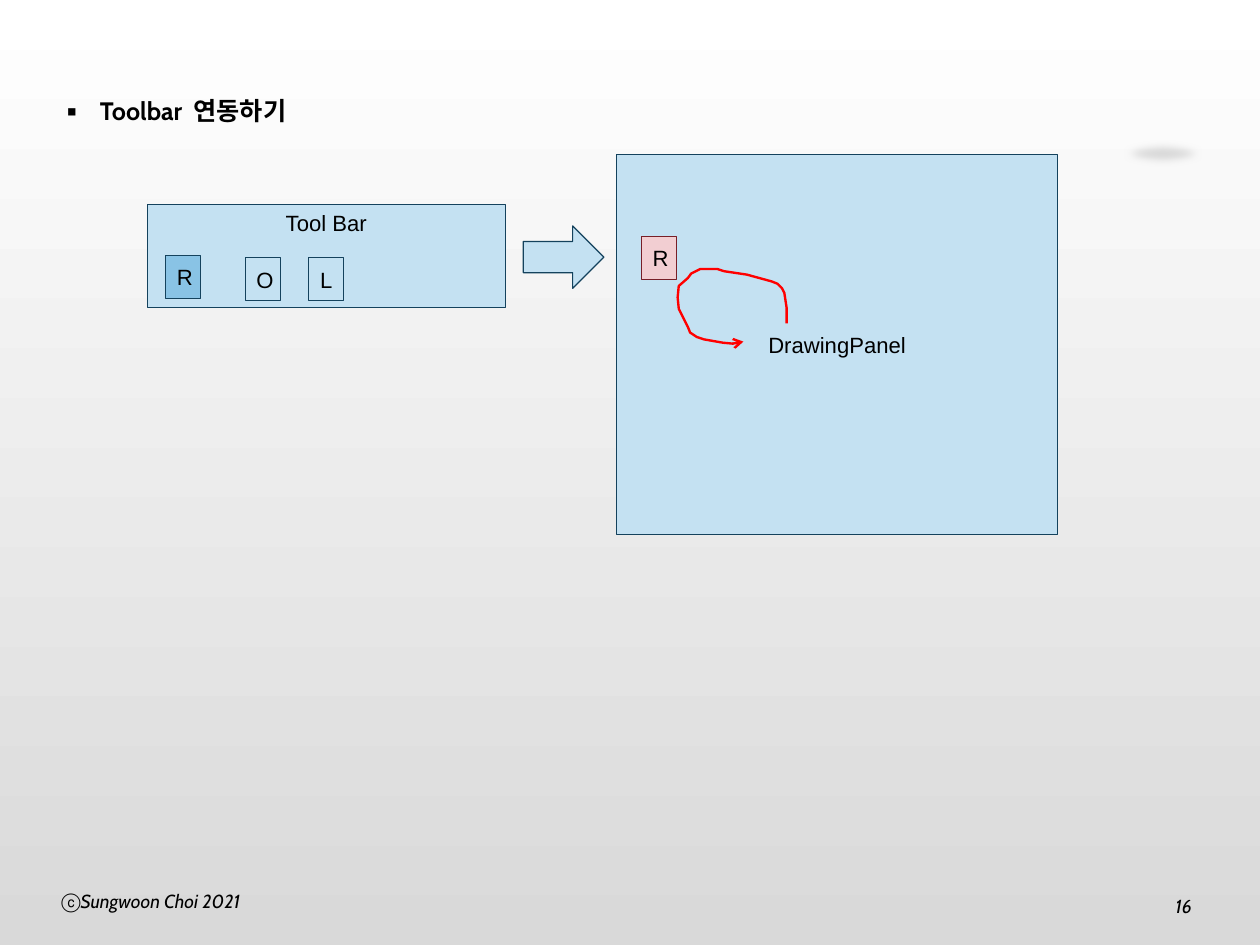
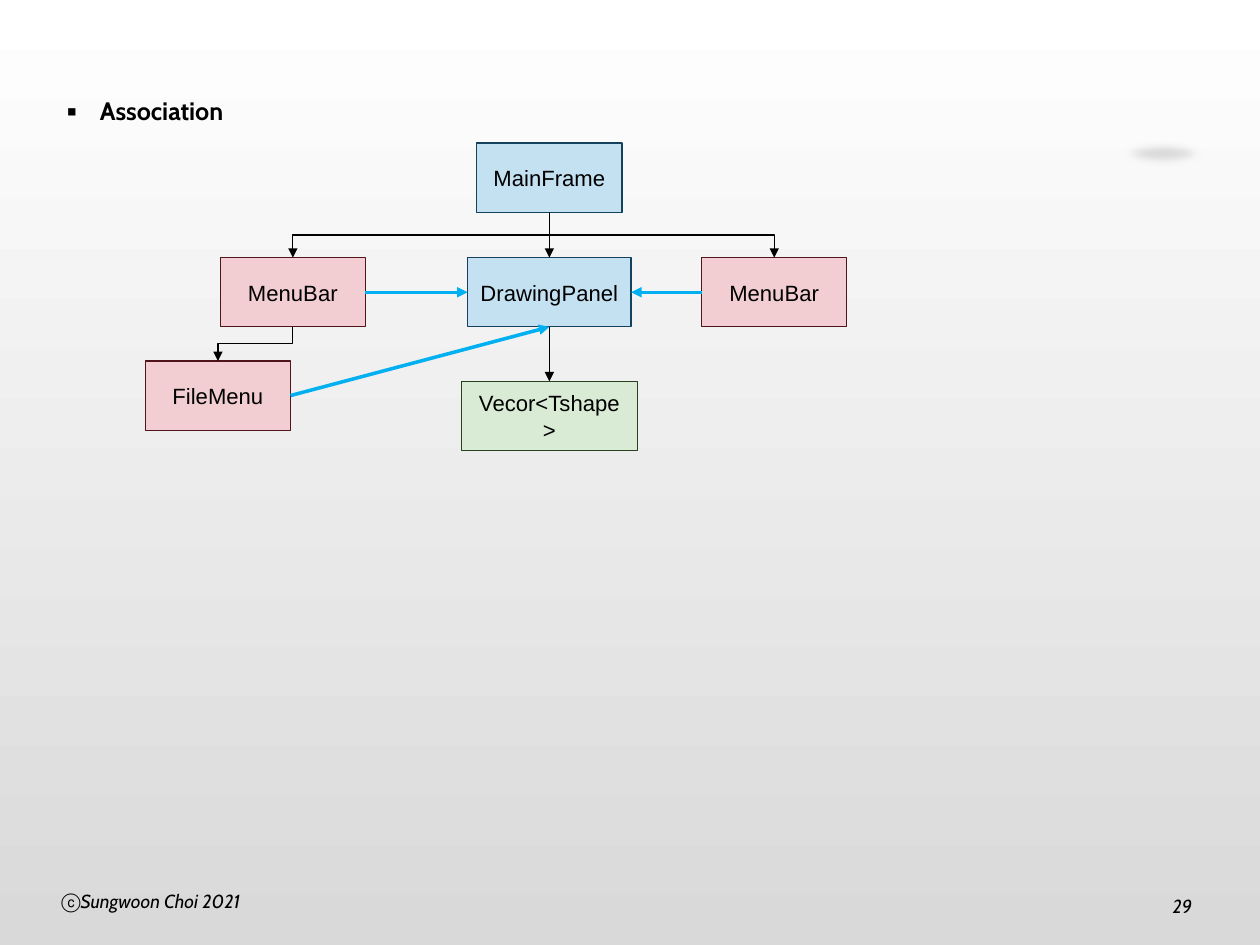
import pptx
import pptx.util
import pptx.dml.color
import pptx.enum.shapes
import pptx.enum.text
import pptx.oxml.ns
from lxml import etree

Inches = pptx.util.Inches
Pt = pptx.util.Pt
RGB = pptx.dml.color.RGBColor.from_string
qn = pptx.oxml.ns.qn
SHAPE = pptx.enum.shapes.MSO_SHAPE
CONNECTOR = pptx.enum.shapes.MSO_CONNECTOR
ANCHOR = pptx.enum.text.MSO_ANCHOR
ALIGN = pptx.enum.text.PP_ALIGN

COLORS = {
    "black": "000000", "white": "FFFFFF", "gray": "D9D9D9",
    "blue": "C4E1F2", "blue_mid": "89C3E5", "blue_dark": "14425D",
    "pink": "F2CED2", "pink_dark": "50141B", "pink_line": "771F28",
    "green": "D9EAD5", "green_dark": "274221",
    "red": "FF0000", "cyan": "00B0F0",
}


def write(tf, text, size=14, font="Arial", bold=False, italic=False,
          align=ALIGN.LEFT, bullet=None, indent=0, insets=None):
    tf.word_wrap = True
    if insets:
        tf.margin_left = tf.margin_right = Inches(insets[0])
        tf.margin_top = tf.margin_bottom = Inches(insets[1])
    p = tf.paragraphs[0]
    p.alignment = align
    if bullet:
        pPr = p._p.get_or_add_pPr()
        pPr.set("marL", str(Inches(indent)))
        pPr.set("indent", str(-Inches(indent)))
        etree.SubElement(pPr, qn("a:buFont"), typeface=font)
        etree.SubElement(pPr, qn("a:buChar"), char=bullet)
    r = p.add_run()
    r.text = text
    r.font.size = Pt(size)
    r.font.name = font
    r.font.bold = bold
    r.font.italic = italic
    r.font.color.rgb = RGB(COLORS["black"])


def add_box(s, x, y, w, h, fill, line=None, text="", shape=SHAPE.RECTANGLE,
            anchor=ANCHOR.MIDDLE):
    sp = s.shapes.add_shape(shape, Inches(x), Inches(y), Inches(w), Inches(h))
    sp.shadow.inherit = False
    sp.fill.solid()
    sp.fill.fore_color.rgb = RGB(COLORS[fill])
    if line:
        sp.line.color.rgb = RGB(COLORS[line])
        sp.line.width = Pt(0.75)
    else:
        sp.line.fill.background()
    if text:
        sp.text_frame.vertical_anchor = anchor
        write(sp.text_frame, text, align=ALIGN.CENTER)
    return sp


# A 4:3 page
prs = pptx.Presentation()
prs.slide_width = Inches(11.1)
prs.slide_height = prs.slide_width * 3 // 4

# Shared background
bg = prs.slide_master.background.fill
bg.gradient()
bg.gradient_angle = 270
for stop, color in zip(bg.gradient_stops, ("white", "gray")):
    stop.color.rgb = RGB(COLORS[color])

# Shared heading, soft ellipse and footer
slides = []
INSETS = (0.11, 0.06)
for heading, number in (("Toolbar  연동하기", "16"), ("Association", "29")):
    s = prs.slides.add_slide(prs.slide_layouts[1])
    slides.append(s)
    title = s.shapes.title._element
    title.getparent().remove(title)

    ellipse = add_box(s, 9.81, 1.23, 0.87, 0.25, "gray", shape=SHAPE.OVAL)
    effects = ellipse._element.spPr.find(qn("a:effectLst"))
    etree.SubElement(effects, qn("a:softEdge"), rad=str(Inches(0.07)))

    body = s.placeholders[1]
    body.left, body.top = Inches(0.48), Inches(0.78)
    body.width, body.height = Inches(5.03), Inches(7.01)
    body.text_frame.auto_size = pptx.enum.text.MSO_AUTO_SIZE.NONE
    write(body.text_frame, heading, size=16, font="Cabin", bold=True,
          bullet="▪", indent=0.29, insets=INSETS)

    for x, y, w, h, text, align, bullet in (
            (0.43, 7.78, 2.05, 0.33, "Sungwoon Choi 2021", ALIGN.LEFT, "ⓒ"),
            (9.94, 7.82, 0.67, 0.25, number, ALIGN.RIGHT, None)):
        tb = s.shapes.add_textbox(Inches(x), Inches(y), Inches(w), Inches(h))
        write(tb.text_frame, text, size=12, font="Cabin", italic=True,
              align=align, bullet=bullet, insets=INSETS)

toolbar_slide, association_slide = slides

# Toolbar and drawing panel
s = toolbar_slide
add_box(s, 1.3, 1.8, 3.15, 0.91, "blue", "blue_dark", "Tool Bar",
        anchor=ANCHOR.TOP)
add_box(s, 5.43, 1.36, 3.89, 3.35, "blue", "blue_dark", "DrawingPanel")
add_box(s, 4.61, 1.99, 0.71, 0.55, "blue", "blue_dark",
        shape=SHAPE.RIGHT_ARROW)
for x, y, letter, fill, line in (
        (1.46, 2.25, "R", "blue_mid", "blue_dark"),
        (2.16, 2.27, "O", "blue", "blue_dark"),
        (2.72, 2.27, "L", "blue", "blue_dark"),
        (5.65, 2.08, "R", "pink", "pink_line")):
    add_box(s, x, y, 0.31, 0.38, fill, line, letter)

loop_points = [(Inches(x), Inches(y)) for x, y in (
    (6.93, 2.85), (6.93, 2.71), (6.91, 2.58), (6.89, 2.54), (6.85, 2.5),
    (6.8, 2.48), (6.58, 2.42), (6.38, 2.39), (6.32, 2.37), (6.17, 2.37),
    (6.09, 2.41), (6.06, 2.45), (5.98, 2.52), (5.97, 2.62), (5.98, 2.72),
    (6.06, 2.88), (6.08, 2.93), (6.14, 2.97), (6.2, 2.99), (6.37, 3.02),
    (6.48, 3.03), (6.55, 3.01))]
builder = s.shapes.build_freeform(*loop_points[0])
builder.add_line_segments(loop_points[1:], close=False)
loop = builder.convert_to_shape()
loop.shadow.inherit = False
loop.fill.background()
loop.line.color.rgb = RGB(COLORS["red"])
loop.line.width = Pt(1.5)
etree.SubElement(loop.line._get_or_add_ln(), qn("a:tailEnd"), type="arrow")

# Class associations: boxes are placed by their centre line
s = association_slide
boxes = {}
for name, text, center, y, w, fill, line in (
        ("frame", "MainFrame", 4.84, 1.26, 1.28, "blue", "blue_dark"),
        ("left menu", "MenuBar", 2.58, 2.27, 1.28, "pink", "pink_dark"),
        ("panel", "DrawingPanel", 4.84, 2.27, 1.44, "blue", "blue_dark"),
        ("right menu", "MenuBar", 6.82, 2.27, 1.28, "pink", "pink_dark"),
        ("file menu", "FileMenu", 1.92, 3.18, 1.28, "pink", "pink_dark"),
        ("vector", "Vecor<Tshape>", 4.84, 3.36, 1.55, "green", "green_dark")):
    boxes[name] = add_box(s, center - w / 2, y, w, 0.61, fill, line, text)

TOP, LEFT, BOTTOM, RIGHT = range(4)
STRAIGHT, ELBOW = CONNECTOR.STRAIGHT, CONNECTOR.ELBOW
for kind, start, start_side, end, end_side, color, width in (
        (ELBOW, "frame", BOTTOM, "left menu", TOP, "black", 0.75),
        (STRAIGHT, "frame", BOTTOM, "panel", TOP, "black", 0.75),
        (ELBOW, "frame", BOTTOM, "right menu", TOP, "black", 0.75),
        (ELBOW, "left menu", BOTTOM, "file menu", TOP, "black", 0.75),
        (STRAIGHT, "panel", BOTTOM, "vector", TOP, "black", 0.75),
        (STRAIGHT, "left menu", RIGHT, "panel", LEFT, "cyan", 2.25),
        (STRAIGHT, "right menu", LEFT, "panel", RIGHT, "cyan", 2.25),
        (STRAIGHT, "file menu", RIGHT, "panel", BOTTOM, "cyan", 2.25)):
    c = s.shapes.add_connector(kind, 0, 0, 0, 0)
    c.begin_connect(boxes[start], start_side)
    c.end_connect(boxes[end], end_side)
    c.line.color.rgb = RGB(COLORS[color])
    c.line.width = Pt(width)
    etree.SubElement(c.line._get_or_add_ln(), qn("a:tailEnd"), type="triangle")
    etree.SubElement(c._element.spPr, qn("a:effectLst"))
    if kind == ELBOW:
        # A quarter turn makes the elbow leave and arrive vertically
        to_right = c.end_x > c.begin_x
        w, h = c.width, c.height
        c.left, c.top = c.left + (w - h) // 2, c.top + (h - w) // 2
        c.width, c.height = h, w
        xfrm = c._element.spPr.find(qn("a:xfrm"))
        xfrm.set("rot", str((270 if to_right else 90) * 60000))
        xfrm.set("flipH", "1" if to_right else "0")

prs.save("out.pptx")
